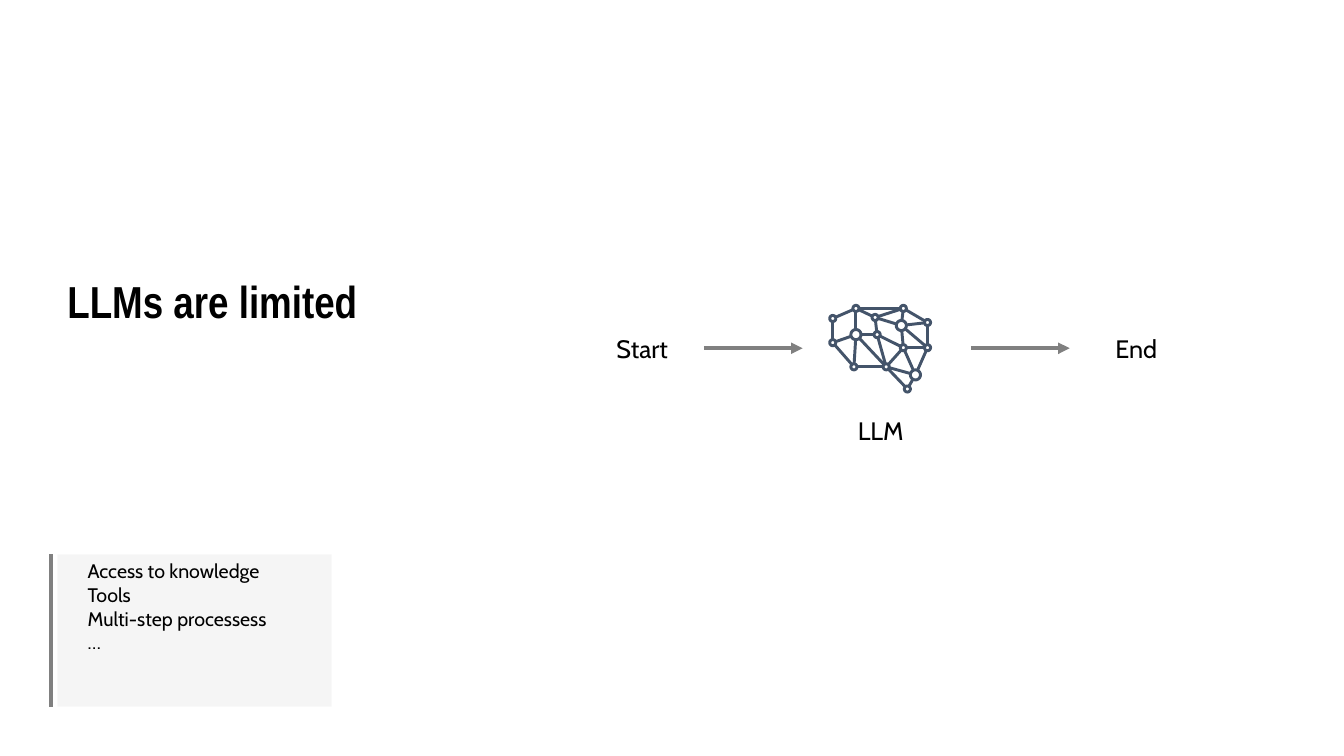
from math import cos, hypot, pi, sin
from lxml import etree
from pptx import Presentation
from pptx.dml.color import RGBColor
from pptx.enum.shapes import MSO_CONNECTOR, MSO_SHAPE
from pptx.enum.text import MSO_ANCHOR, PP_ALIGN
from pptx.oxml.ns import qn
from pptx.util import Inches, Pt

LINE = MSO_CONNECTOR.STRAIGHT
RECT = MSO_SHAPE.RECTANGLE
TOP, MIDDLE = MSO_ANCHOR.TOP, MSO_ANCHOR.MIDDLE
LEFT, CENTER = PP_ALIGN.LEFT, PP_ALIGN.CENTER
BLACK, GRAY, PALE, NAVY = "000000", "808080", "EDEDED", "44546A"
SMALL, BIG, SIDES = 0.03, 0.05, 24

NODES = {
    "a": (0.05, 0.15, SMALL), "b": (0.05, 0.39, SMALL),
    "c": (0.28, 0.05, SMALL), "d": (0.75, 0.05, SMALL),
    "e": (0.99, 0.19, SMALL), "f": (0.99, 0.44, SMALL),
    "g": (0.47, 0.14, SMALL), "h": (0.73, 0.22, BIG),
    "i": (0.28, 0.31, BIG), "j": (0.49, 0.31, SMALL),
    "k": (0.75, 0.44, SMALL), "l": (0.26, 0.63, SMALL),
    "m": (0.58, 0.63, SMALL), "n": (0.87, 0.71, BIG),
    "o": (0.79, 0.85, SMALL),
}
EDGES = ("ab ac cd de ef cg gd gh gj ci bi bl il im ij jm jk "
         "hd he hf hk kf km kn fn lm mn mo no").split()


def color(code):
    return RGBColor.from_string(code)


def write(shape, lines, size, font="Cabin", bold=False, align=LEFT,
          anchor=TOP, indent=0, before=0, wrap=True):
    frame = shape.text_frame
    frame.word_wrap = wrap
    frame.vertical_anchor = anchor
    for index, line in enumerate(lines):
        para = frame.add_paragraph() if index else frame.paragraphs[0]
        para.alignment = align
        para.space_before = Pt(before)
        if indent:
            para._p.get_or_add_pPr().set("marL", str(Inches(indent)))
        run = para.add_run()
        run.text = line
        run.font.name = font
        run.font.size = Pt(size)
        run.font.bold = bold
        run.font.color.rgb = color(BLACK)


def label(parent, box, text, size=18, **style):
    shape = parent.shapes.add_textbox(*map(Inches, box))
    write(shape, [text], size, **style)


def rule(slide, start, end, arrow=False):
    line = slide.shapes.add_connector(LINE, *map(Inches, start + end))
    line.line.color.rgb = color(GRAY)
    line.line.width = Pt(2.75)
    if arrow:
        tail = etree.SubElement(line.line._get_or_add_ln(), qn("a:tailEnd"))
        tail.set("type", "triangle")
    etree.SubElement(line._element.spPr, qn("a:effectLst"))


def limits(slide, box, lines):
    left, top, width, height = box
    panel = slide.shapes.add_shape(RECT, *map(Inches, box))
    panel.shadow.inherit = False
    panel.fill.solid()
    panel.fill.fore_color.rgb = color(PALE)
    tint = panel._element.spPr.find(".//" + qn("a:srgbClr"))
    etree.SubElement(tint, qn("a:alpha")).set("val", "50000")
    panel.line.fill.background()
    write(panel, lines, 14, indent=0.2)
    rule(slide, (left - 0.06, top), (left - 0.06, top + height))


def ring(node):
    x, y, radius = node
    turns = [2 * pi * step / SIDES for step in range(SIDES + 1)]
    return [(x + radius * cos(turn), y + radius * sin(turn)) for turn in turns]


def link(start, end):
    (x, y, near), (u, v, far) = start, end
    span = hypot(u - x, v - y)
    return [(x + (u - x) * part, y + (v - y) * part)
            for part in (near / span, 1 - far / span)]


def brain(group, left, top):
    marks = [ring(node) for node in NODES.values()]
    marks += [link(NODES[start], NODES[end]) for start, end in EDGES]
    path = None
    for mark in marks:
        first, *rest = [(Inches(left + x), Inches(top + y)) for x, y in mark]
        if path:
            path.move_to(*first)
        else:
            path = group.shapes.build_freeform(*first)
        path.add_line_segments(rest, close=False)
    web = path.convert_to_shape()
    web.shadow.inherit = False
    web.fill.background()
    web.line.color.rgb = color(NAVY)
    web.line.width = Pt(2.1)


def flow(slide, box):
    left, top, width, height = box
    mid = top + height / 2
    group = slide.shapes.add_group_shape()
    brain(group, left + 2.36, top)
    label(group, (left + 2.56, mid + 0.62, 0.66, 0.4), "LLM", wrap=False)
    for x, text in ((left, "Start"), (left + width - 1.04, "End")):
        label(slide, (x, mid - 0.2, 1.04, 0.4), text, align=CENTER)
    for x in (left + 1.13, left + 3.78):
        rule(slide, (x, mid), (x + 0.98, mid), arrow=True)


def main():
    deck = Presentation()
    deck.slide_width, deck.slide_height = Inches(13.33), Inches(7.5)
    slide = deck.slides.add_slide(deck.slide_layouts[6])
    label(slide, (0.57, 2.1, 3.5, 1.77), "LLMs are limited", 32,
          font="Arial Narrow", bold=True, anchor=MIDDLE, before=6)
    limits(slide, (0.57, 5.5, 2.72, 1.51),
           ["Access to knowledge", "Tools", "Multi-step processess", "…"])
    flow(slide, (5.85, 3.01, 5.94, 0.89))
    deck.save("out.pptx")


if __name__ == "__main__":
    main()
